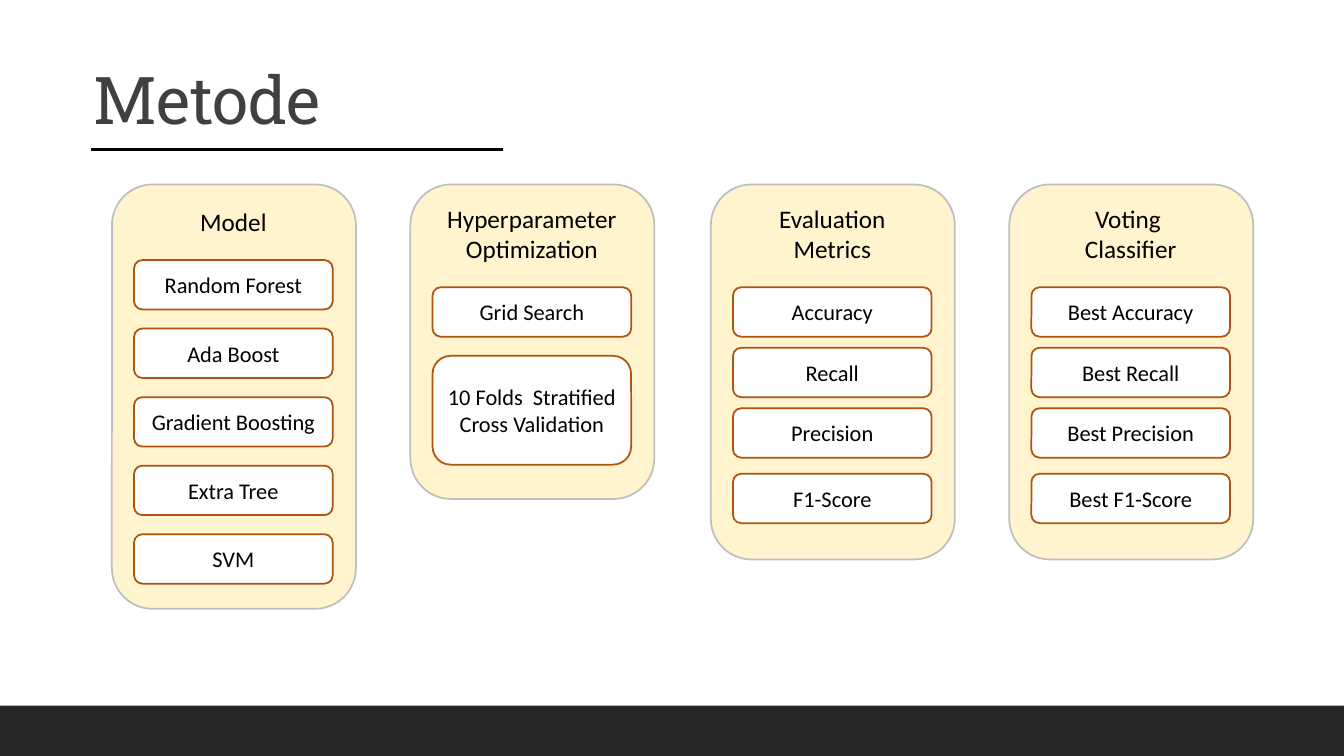
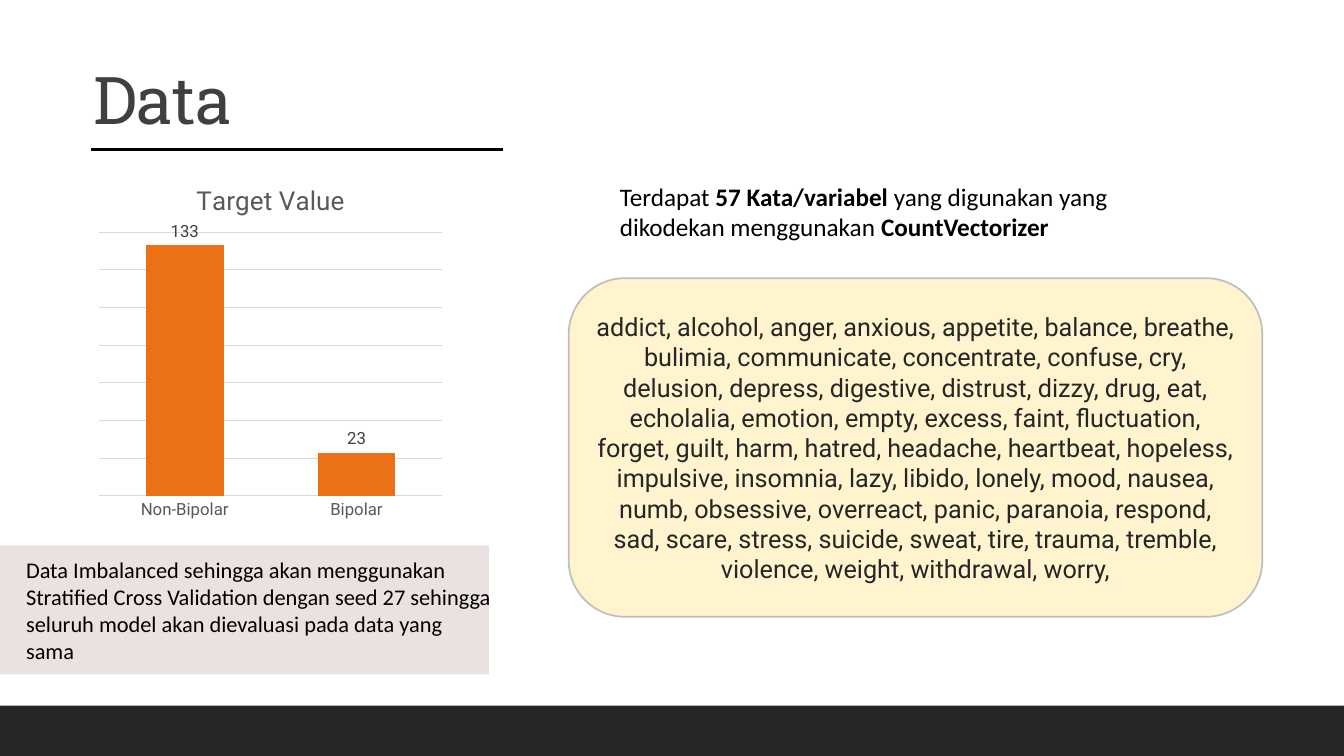
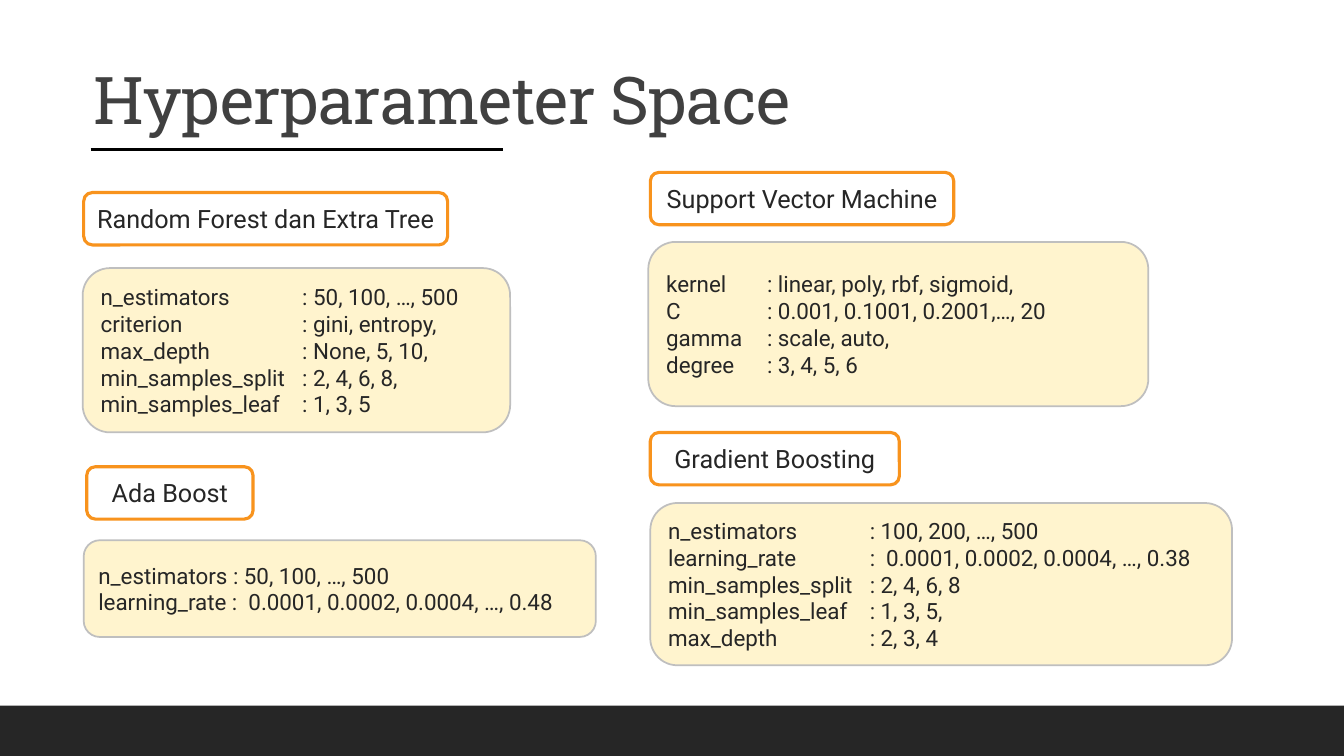
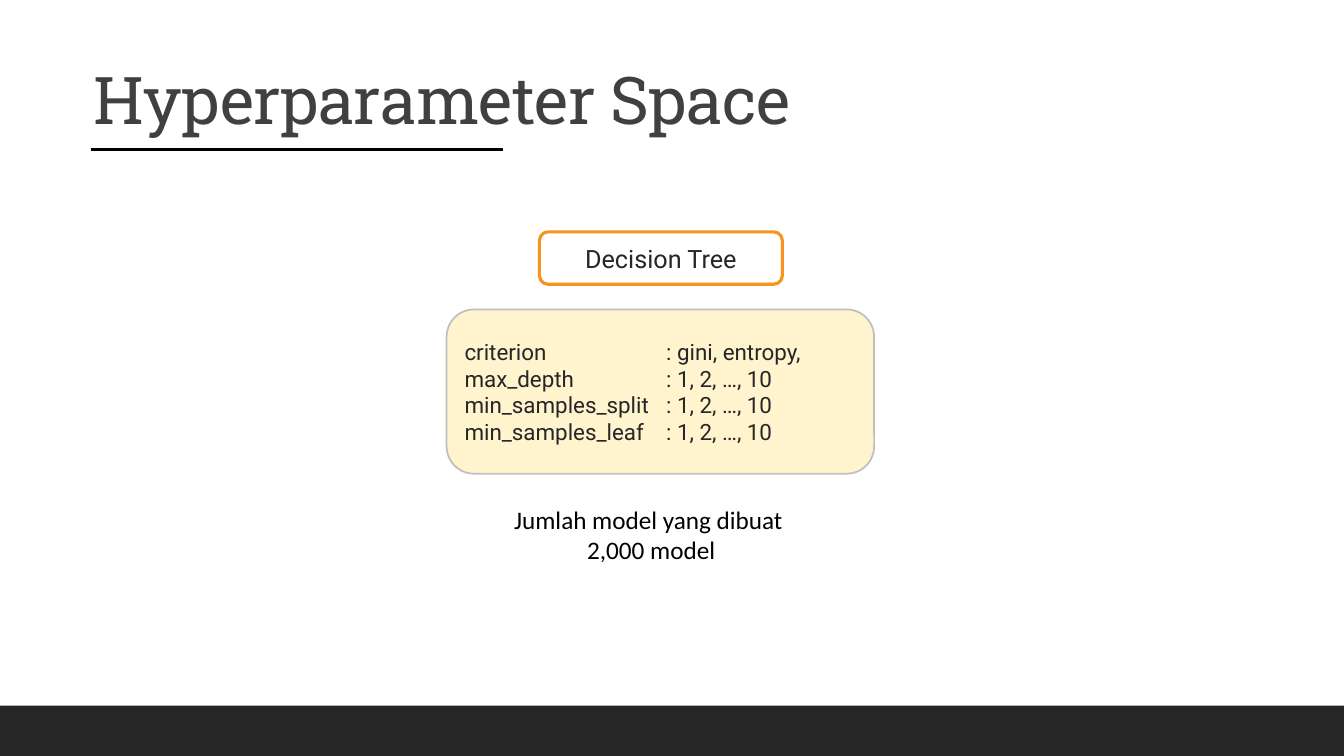
from pptx import Presentation
from pptx.chart.data import CategoryChartData
from pptx.dml.color import RGBColor
from pptx.enum import chart as charts, shapes, text
from pptx.oxml import ns, xmlchemy
from pptx.util import Inches, Pt

BLACK, WHITE, DARK, TITLE = "000000", "FFFFFF", "262626", "404040"
CREAM, SILVER, BROWN, AMBER = "FFF4CE", "BFBFBF", "AF5310", "F8931D"
ROSE, ORANGE, GRID, GREY = "EBE1E1", "EC7016", "D9D9D9", "595959"
SANS, ROBOTO, SLAB = "Calibri", "Roboto", "Roboto Slab"
LEFT, CENTER = text.PP_ALIGN.LEFT, text.PP_ALIGN.CENTER
TOP, MIDDLE = text.MSO_ANCHOR.TOP, text.MSO_ANCHOR.MIDDLE
RECTANGLE, ROUNDED = shapes.MSO_SHAPE.RECTANGLE, shapes.MSO_SHAPE.ROUNDED_RECTANGLE


def color(value):
    """Turn a hex string into a colour."""
    return RGBColor.from_string(value)


def inches(*lengths):
    """Turn several numbers into lengths."""
    return [Inches(length) for length in lengths]


def style_font(font, size, name, hue, bold=False):
    """Format a font."""
    font.size, font.name, font.bold = Pt(size), name, bold
    font.color.rgb = color(hue)


def write(frame, paragraphs, size, name=SANS, hue=BLACK, align=LEFT, anchor=TOP):
    """Fill a text frame; a paragraph is a string or a list of (text, bold) runs."""
    frame.word_wrap = True
    frame.auto_size = text.MSO_AUTO_SIZE.NONE
    frame.vertical_anchor = anchor
    for index, runs in enumerate(paragraphs):
        paragraph = frame.paragraphs[0] if index == 0 else frame.add_paragraph()
        paragraph.alignment = align
        for words, bold in [(runs, False)] if isinstance(runs, str) else runs:
            run = paragraph.add_run()
            run.text = words
            style_font(run.font, size, name, hue, bold)


def add_box(slide, box, fill=None, line=None, width=1.25, preset=ROUNDED):
    """Add a flat preset shape."""
    shape = slide.shapes.add_shape(preset, *inches(*box))
    shape.shadow.inherit = False
    if fill:
        shape.fill.solid()
        shape.fill.fore_color.rgb = color(fill)
    else:
        shape.fill.background()
    if line:
        shape.line.color.rgb = color(line)
        shape.line.width = Pt(width)
    else:
        shape.line.fill.background()
    return shape


def add_text(slide, box, paragraphs, size=18, align=LEFT):
    """Add a plain text box."""
    write(slide.shapes.add_textbox(*inches(*box)).text_frame, paragraphs, size, align=align)


def set_tab(paragraph, position):
    """Give a paragraph one left tab stop."""
    properties = paragraph._p.get_or_add_pPr()
    stops = xmlchemy.OxmlElement("a:tabLst")
    stop = xmlchemy.OxmlElement("a:tab")
    stop.set("pos", str(Inches(position)))
    stop.set("algn", "l")
    stops.append(stop)
    properties.append(stops)


def decorate_layout(layout, slide):
    """Put the bottom band and the title rule on the shared layout."""
    for placeholder in list(layout.placeholders):
        if placeholder.placeholder_format.type != shapes.PP_PLACEHOLDER.TITLE:
            layout.shapes.element.remove(placeholder.element)
    band = add_box(slide, (0, 7, 13.33, 0.5), DARK, preset=RECTANGLE)
    rule = slide.shapes.add_connector(
        shapes.MSO_CONNECTOR.STRAIGHT, *inches(0.9, 1.48, 4.99, 1.48))
    rule.line.color.rgb = color(BLACK)
    rule.line.width = Pt(2.25)
    rule.element.find(ns.qn("p:spPr")).append(xmlchemy.OxmlElement("a:effectLst"))
    for part in (band, rule):
        layout.shapes.element.append(part.element)


def add_slide(presentation, heading, width):
    """Add a slide with a formatted title."""
    layout = presentation.slide_layouts[5]
    first = len(presentation.slides) == 0
    slide = presentation.slides.add_slide(layout)
    if first:
        decorate_layout(layout, slide)
    title = slide.shapes.title
    title.left, title.top, title.width, title.height = inches(0.83, 0.62, width, 0.71)
    write(title.text_frame, [heading], 47, SLAB, TITLE)
    paragraph = title.text_frame.paragraphs[0]
    paragraph.line_spacing = 0.9
    paragraph.runs[0].font._element.set("spc", "-50")
    return slide


def add_column(slide, left, height, heading, items):
    """Draw a method column; items are (label, offset from top, height)."""
    top, inset, width = 1.83, 0.22, 1.97
    add_box(slide, (left, top, 2.42, height), CREAM, SILVER)
    offset, depth = (0.17, 0.4) if heading == ["Model"] else (0.14, 0.71)
    add_text(slide, (left + inset, top + offset, width, depth), heading, align=CENTER)
    for label, offset, depth in items:
        item = add_box(slide, (left + inset, top + offset, width, depth), WHITE, BROWN)
        write(item.text_frame, [label], 16, align=CENTER, anchor=MIDDLE)


def add_target_chart(slide, box):
    """Draw the class count chart."""
    data = CategoryChartData()
    data.categories = ["Non-Bipolar", "Bipolar"]
    data.add_series("Series 1", [133, 23])
    chart = slide.shapes.add_chart(
        charts.XL_CHART_TYPE.COLUMN_CLUSTERED, *inches(*box), data).chart
    style_font(chart.font, 10, ROBOTO, BLACK)
    chart.has_legend = False
    chart.has_title = True
    run = chart.chart_title.text_frame.paragraphs[0].add_run()
    run.text = "Target Value"
    style_font(run.font, 18.6, ROBOTO, GREY)

    values = chart.value_axis
    values.minimum_scale, values.maximum_scale, values.major_unit = 0, 140, 20
    values.visible = False
    values.major_gridlines.format.line.color.rgb = color(GRID)
    values.major_gridlines.format.line.width = Pt(0.75)
    categories = chart.category_axis
    categories.major_tick_mark = charts.XL_TICK_MARK.NONE
    categories.format.line.color.rgb = color(GRID)
    categories.format.line.width = Pt(0.75)
    style_font(categories.tick_labels.font, 12, ROBOTO, GREY)

    plot = chart.plots[0]
    plot.gap_width, plot.overlap, plot.vary_by_categories = 121, -27, False
    fill = plot.series[0].format.fill
    fill.solid()
    fill.fore_color.rgb = color(ORANGE)
    plot.has_data_labels = True
    labels = plot.data_labels
    labels.show_value = True
    labels.position = charts.XL_LABEL_POSITION.OUTSIDE_END
    style_font(labels.font, 12, ROBOTO, TITLE)


def add_space(slide, label_box, heading, box, rows, tab=None):
    """Draw a model name above the panel listing its hyperparameters."""
    label = add_box(slide, label_box, line=AMBER, width=2.25)
    write(label.text_frame, [heading], 18, ROBOTO, DARK, CENTER, MIDDLE)
    panel = add_box(slide, box, CREAM, SILVER)
    write(panel.text_frame, rows, 16, ROBOTO, DARK, anchor=MIDDLE)
    if tab:
        for paragraph in panel.text_frame.paragraphs:
            set_tab(paragraph, tab)


def build_method(presentation):
    """Build the method slide."""
    slide = add_slide(presentation, "Metode", 3.29)
    models = ["Random Forest", "Ada Boost", "Gradient Boosting", "Extra Tree", "SVM"]
    metrics = ["Accuracy", "Recall", "Precision", "F1-Score"]
    offsets = [1.02, 1.62, 2.22, 2.87]
    add_column(slide, 1.11, 4.21, ["Model"],
               [(model, 0.75 + 0.68 * row, 0.49) for row, model in enumerate(models)])
    add_column(slide, 4.07, 3.12, ["Hyperparameter Optimization"],
               [("Grid Search", 1.02, 0.49),
                ("10 Folds  Stratified Cross Validation", 1.7, 1.08)])
    for left, heading, prefix in [(7.05, ["Evaluation Metrics"], ""),
                                  (10.01, ["Voting ", "Classifier"], "Best ")]:
        add_column(slide, left, 3.72, heading,
                   [(prefix + metric, offset, 0.49)
                    for metric, offset in zip(metrics, offsets)])


def build_data(presentation):
    """Build the data slide."""
    slide = add_slide(presentation, "Data", 3.29)
    add_target_chart(slide, (0.91, 1.65, 3.55, 3.58))
    add_text(slide, (6.05, 1.75, 5.4, 0.71), [[
        ("Terdapat ", False), ("57 Kata/variabel", True),
        (" yang digunakan yang dikodekan menggunakan ", False),
        ("CountVectorizer", True)]])
    words = add_box(slide, (5.64, 2.76, 6.88, 3.36), CREAM, SILVER)
    write(words.text_frame, [
        "addict, alcohol, anger, anxious, appetite, balance, breathe, bulimia, "
        "communicate, concentrate, confuse, cry, delusion, depress, digestive, "
        "distrust, dizzy, drug, eat, echolalia, emotion, empty, excess, faint, "
        "fluctuation, forget, guilt, harm, hatred, headache, heartbeat, hopeless, "
        "impulsive, insomnia, lazy, libido, lonely, mood, nausea, numb, obsessive, "
        "overreact, panic, paranoia, respond, sad, scare, stress, suicide, sweat, "
        "tire, trauma, tremble, violence, weight, withdrawal, worry,"],
        18, ROBOTO, DARK, CENTER, MIDDLE)
    add_box(slide, (0, 5.41, 4.85, 1.28), ROSE, preset=RECTANGLE)
    add_text(slide, (0.16, 5.47, 4.85, 1.18), [
        "Data Imbalanced sehingga akan menggunakan Stratified Cross Validation "
        "dengan seed 27 sehingga seluruh model akan dievaluasi pada data yang sama"], 16)


def build_spaces(presentation):
    """Build the slide with four hyperparameter spaces."""
    slide = add_slide(presentation, "Hyperparameter Space", 7.59)
    add_space(slide, (0.83, 1.91, 3.61, 0.52), "Random Forest dan Extra Tree",
              (0.82, 2.66, 4.24, 1.63),
              ["n_estimators \t: 50, 100, …, 500", "criterion \t: gini, entropy,",
               "max_depth \t: None, 5, 10,", "min_samples_split \t: 2, 4, 6, 8,",
               "min_samples_leaf \t: 1, 3, 5"], 2)
    add_space(slide, (0.86, 4.63, 1.65, 0.52), "Ada Boost", (0.83, 5.36, 5.08, 0.96),
              ["n_estimators : 50, 100, …, 500",
               "learning_rate :  0.0001, 0.0002, 0.0004, …, 0.48"])
    add_space(slide, (6.45, 4.29, 2.47, 0.52), "Gradient Boosting",
              (6.45, 4.99, 5.77, 1.61),
              ["n_estimators \t: 100, 200, …, 500",
               "learning_rate \t:  0.0001, 0.0002, 0.0004, …, 0.38",
               "min_samples_split \t: 2, 4, 6, 8", "min_samples_leaf \t: 1, 3, 5,",
               "max_depth\t: 2, 3, 4"], 2)
    add_space(slide, (6.45, 1.71, 3.01, 0.52), "Support Vector Machine",
              (6.43, 2.4, 4.96, 1.63),
              ["kernel \t: linear, poly, rbf, sigmoid,",
               "C\t: 0.001, 0.1001, 0.2001,…, 20", "gamma \t: scale, auto,",
               "degree \t: 3, 4, 5, 6"], 1)


def build_tree(presentation):
    """Build the decision tree slide."""
    slide = add_slide(presentation, "Hyperparameter Space", 7.59)
    add_space(slide, (5.35, 2.3, 2.41, 0.52), "Decision Tree", (4.43, 3.07, 4.24, 1.63),
              ["criterion \t: gini, entropy,", "max_depth \t: 1, 2, …, 10",
               "min_samples_split \t: 1, 2, …, 10",
               "min_samples_leaf \t: 1, 2, …, 10"], 2)
    add_text(slide, (4.63, 4.95, 3.66, 0.71),
             ["Jumlah model yang dibuat ", " 2,000 model "], align=CENTER)


def main():
    """Build and save the presentation."""
    presentation = Presentation()
    presentation.slide_width, presentation.slide_height = inches(13.33, 7.5)
    for build in (build_method, build_data, build_spaces, build_tree):
        build(presentation)
    presentation.save("out.pptx")


if __name__ == "__main__":
    main()
